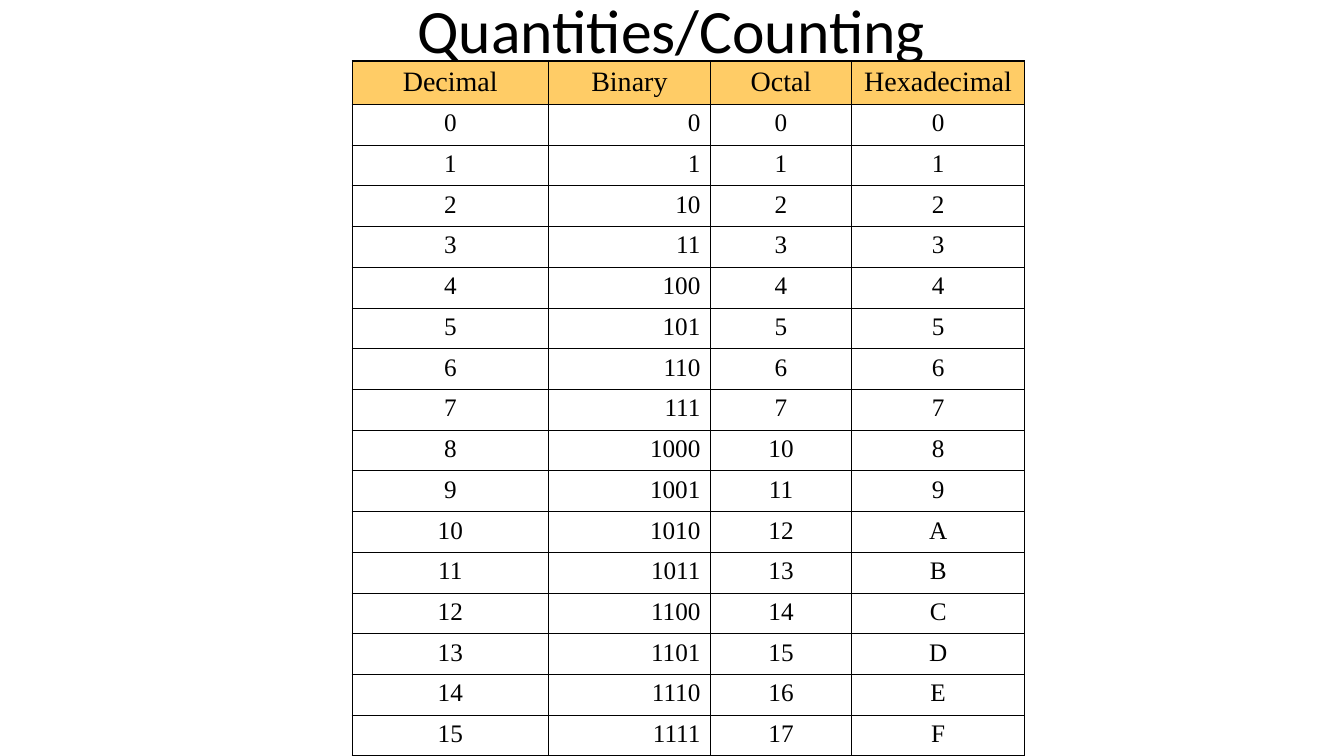
from lxml import etree
from pptx import Presentation
from pptx import util as u
from pptx.dml.color import RGBColor
from pptx.enum import text
from pptx.oxml import ns

EMU_PER_PX = 9080
COLORS = {"ink": "000000", "header": "FFCC66"}
HEADINGS = ["Decimal", "Binary", "Octal", "Hexadecimal"]
COLUMN_WIDTHS = [196, 162, 141, 173]
HEADER_HEIGHT, BODY_HEIGHT = 43, 651
NUMBERS = range(16)
THIN, THICK = u.Pt(0.45), u.Pt(1.08)
CENTER, RIGHT = text.PP_ALIGN.CENTER, text.PP_ALIGN.RIGHT


def px(length):
    return u.Emu(length * EMU_PER_PX)


def write(frame, words, font_name, size, alignment):
    frame.text = words
    paragraph = frame.paragraphs[0]
    paragraph.alignment = alignment
    font = paragraph.runs[0].font
    font.name, font.size = font_name, u.Pt(size)
    font.color.rgb = RGBColor.from_string(COLORS["ink"])


def add_title(slide, words):
    box = slide.shapes.add_textbox(px(218), px(0), px(906), px(58))
    frame = box.text_frame
    frame.word_wrap = True
    frame.auto_size = text.MSO_AUTO_SIZE.NONE
    frame.vertical_anchor = text.MSO_ANCHOR.MIDDLE
    write(frame, words, "Calibri", 44, CENTER)


def set_borders(cell, widths):
    """Draw the left, right, top and bottom lines, ahead of the cell's fill."""
    properties = cell._tc.get_or_add_tcPr()
    for position, (side, width) in enumerate(widths.items()):
        line = etree.Element(ns.qn(f"a:ln{side}"), w=str(width))
        fill = etree.SubElement(line, ns.qn("a:solidFill"))
        etree.SubElement(fill, ns.qn("a:srgbClr"), val=COLORS["ink"])
        properties.insert(position, line)


def add_table(slide, rows):
    last_row, last_column = len(rows) - 1, len(COLUMN_WIDTHS) - 1
    frame = slide.shapes.add_table(
        len(rows), len(COLUMN_WIDTHS), px(352), px(61),
        px(sum(COLUMN_WIDTHS)), px(HEADER_HEIGHT + BODY_HEIGHT))
    table = frame.table
    for column, width in zip(table.columns, COLUMN_WIDTHS):
        column.width = px(width)
    for r, values in enumerate(rows):
        is_header = r == 0
        table.rows[r].height = px(HEADER_HEIGHT) if is_header else px(BODY_HEIGHT) // last_row
        for c, value in enumerate(values):
            cell = table.cell(r, c)
            # Header cells are tinted; binary digits line up on the right
            if is_header:
                cell.fill.solid()
                cell.fill.fore_color.rgb = RGBColor.from_string(COLORS["header"])
            else:
                cell.fill.background()
            alignment = RIGHT if HEADINGS[c] == "Binary" and not is_header else CENTER
            write(cell.text_frame, value, "Times New Roman", 20 if is_header else 18, alignment)
            # Thick outer frame, thin inner grid
            set_borders(cell, {
                "L": THICK if c == 0 else THIN,
                "R": THICK if c == last_column else THIN,
                "T": THICK if is_header else THIN,
                "B": THICK if r == last_row else THIN,
            })


def main():
    presentation = Presentation()
    presentation.slide_width, presentation.slide_height = px(1343), px(755)
    slide = presentation.slides.add_slide(presentation.slide_layouts[6])

    # Title
    add_title(slide, "Quantities/Counting")

    # Each number in the four bases
    counting = [[f"{n:d}", f"{n:b}", f"{n:o}", f"{n:X}"] for n in NUMBERS]
    add_table(slide, [HEADINGS] + counting)

    presentation.save("out.pptx")


if __name__ == "__main__":
    main()
